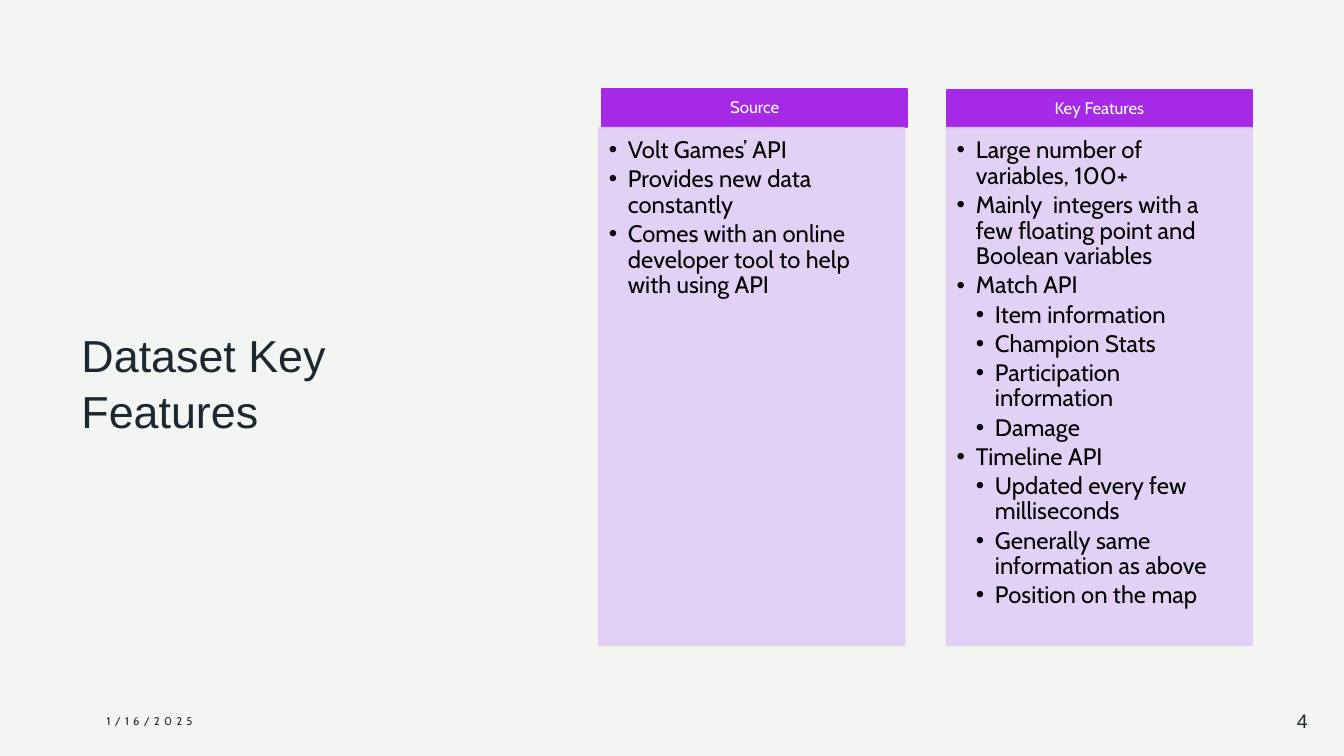
from lxml import etree
from pptx import Presentation, util as u
from pptx.dml.color import RGBColor
from pptx.enum import shapes, text
from pptx.oxml import ns

TITLE = "Dataset Key Features"
DATE = "1/16/2025"
NUMBER = "4"
COLUMNS = [
    {
        "header": "Source",
        "header_at": (597, 88),
        "body_left": 594,
        "items": [
            (1, "Volt Games’ API"),
            (1, "Provides new data constantly"),
            (1, "Comes with an online developer tool to help with using API"),
        ],
    },
    {
        "header": "Key Features",
        "header_at": (939, 89),
        "body_left": 939,
        "items": [
            (1, "Large number of variables, 100+"),
            (1, "Mainly  integers with a few floating point and Boolean variables"),
            (1, "Match API"),
            (2, "Item information"),
            (2, "Champion Stats"),
            (2, "Participation information"),
            (2, "Damage"),
            (1, "Timeline API"),
            (2, "Updated every few milliseconds"),
            (2, "Generally same information as above"),
            (2, "Position on the map"),
        ],
    },
]
THEME = {
    "page": "F3F5F3", "ink": "1B2830", "header": "A629E7", "panel": "E1CDF6",
    "white": "FFFFFF", "black": "000000", "panel_alpha": 90,
    "heading_font": "Arial", "body_font": "Cabin",
    "title": 32, "item": 17, "number": 14, "label": 12, "date": 8,
}
SCALE = 9144
PAGE_WIDTH, PAGE_HEIGHT = 1333, 750
COLUMN_WIDTH, HEADER_HEIGHT = 303, 38
BODY_TOP, BODY_HEIGHT = 127, 513
INDENT = 19


def px(length):
    return u.Emu(length * SCALE)


def color(name):
    return RGBColor.from_string(THEME[name])


def set_frame(shape, insets=(10, 5, 10, 5), anchor=text.MSO_ANCHOR.TOP):
    frame = shape.text_frame
    frame.word_wrap = True
    frame.vertical_anchor = anchor
    sides = ("margin_left", "margin_top", "margin_right", "margin_bottom")
    for side, inset in zip(sides, insets):
        setattr(frame, side, px(inset))
    return frame


def write(para, words, *, size, ink, font="body_font", align=text.PP_ALIGN.LEFT,
          line=1.0, after=0, level=0, tracking=0):
    para.alignment = align
    para.line_spacing = line
    para.space_after = u.Pt(after)
    span = para.add_run()
    span.text = words
    span.font.name = THEME[font]
    span.font.size = u.Pt(THEME[size])
    span.font.color.rgb = color(ink)
    if tracking:
        span.font._element.set("spc", str(tracking * 100))
    if level:
        para.level = level - 1
        props = para._p.get_or_add_pPr()
        props.set("marL", str(px(INDENT * level)))
        props.set("indent", str(px(-INDENT)))
        bullet_font = etree.SubElement(props, ns.qn("a:buFont"))
        bullet_font.set("typeface", THEME["heading_font"])
        etree.SubElement(props, ns.qn("a:buChar")).set("char", "•")


def add_label(page, place, words, insets=(10, 5, 10, 5),
              anchor=text.MSO_ANCHOR.MIDDLE, **style):
    box = page.shapes.add_textbox(*map(px, place))
    write(set_frame(box, insets, anchor).paragraphs[0], words, ink="ink", **style)


def add_block(page, place, fill, alpha=100):
    block = page.shapes.add_shape(shapes.MSO_SHAPE.RECTANGLE, *map(px, place))
    block.shadow.inherit = False
    block.fill.solid()
    block.fill.fore_color.rgb = color(fill)
    block.line.color.rgb = color(fill)
    block.line.width = u.Pt(1.5)
    if alpha < 100:
        for tint in block._element.spPr.iter(ns.qn("a:srgbClr")):
            etree.SubElement(tint, ns.qn("a:alpha")).set("val", str(alpha * 1000))
    return block


def add_column(page, column):
    header = add_block(page, (*column["header_at"], COLUMN_WIDTH, HEADER_HEIGHT), "header")
    frame = set_frame(header, (9, 5, 9, 5), text.MSO_ANCHOR.MIDDLE)
    write(frame.paragraphs[0], column["header"], size="label", ink="white",
          align=text.PP_ALIGN.CENTER, line=0.9)
    place = (column["body_left"], BODY_TOP, COLUMN_WIDTH, BODY_HEIGHT)
    body = add_block(page, place, "panel", THEME["panel_alpha"])
    frame = set_frame(body, (10, 10, 13, 15))
    for index, (level, words) in enumerate(column["items"]):
        para = frame.add_paragraph() if index else frame.paragraphs[0]
        write(para, words, size="item", ink="black", line=0.9, after=2.4, level=level)


def main():
    deck = Presentation()
    deck.slide_width, deck.slide_height = px(PAGE_WIDTH), px(PAGE_HEIGHT)
    page = deck.slides.add_slide(deck.slide_layouts[6])
    page.background.fill.solid()
    page.background.fill.fore_color.rgb = color("page")
    add_label(page, (71, 316, 442, 98), TITLE, insets=(10, 8, 10, 5),
              anchor=text.MSO_ANCHOR.TOP, size="title", font="heading_font", line=1.03)
    add_label(page, (96, 695, 300, 40), DATE, size="date", tracking=3)
    add_label(page, (1250, 695, 57, 40), NUMBER, size="number",
              font="heading_font", align=text.PP_ALIGN.RIGHT)
    for column in COLUMNS:
        add_column(page, column)
    deck.save("out.pptx")


if __name__ == "__main__":
    main()
